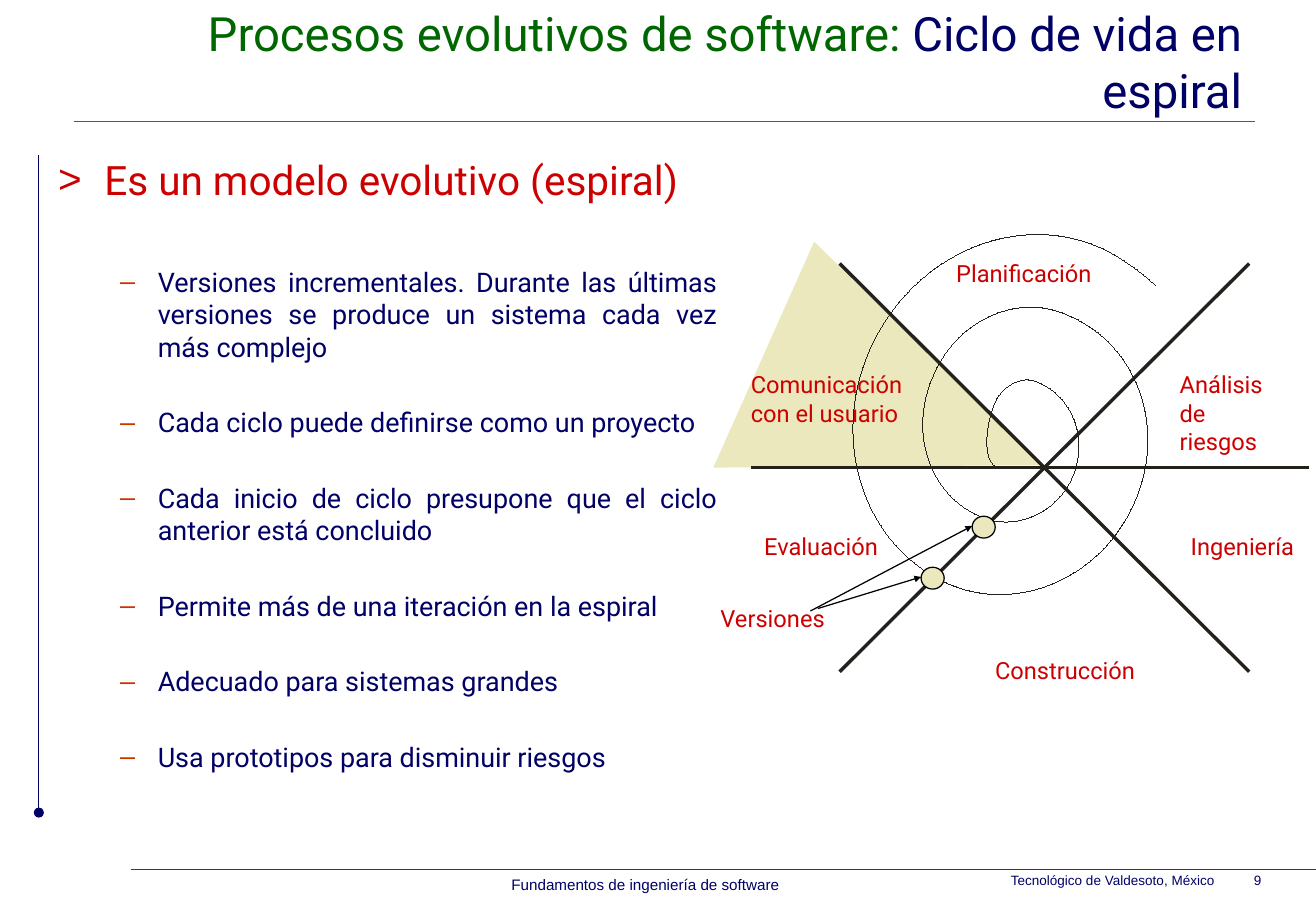
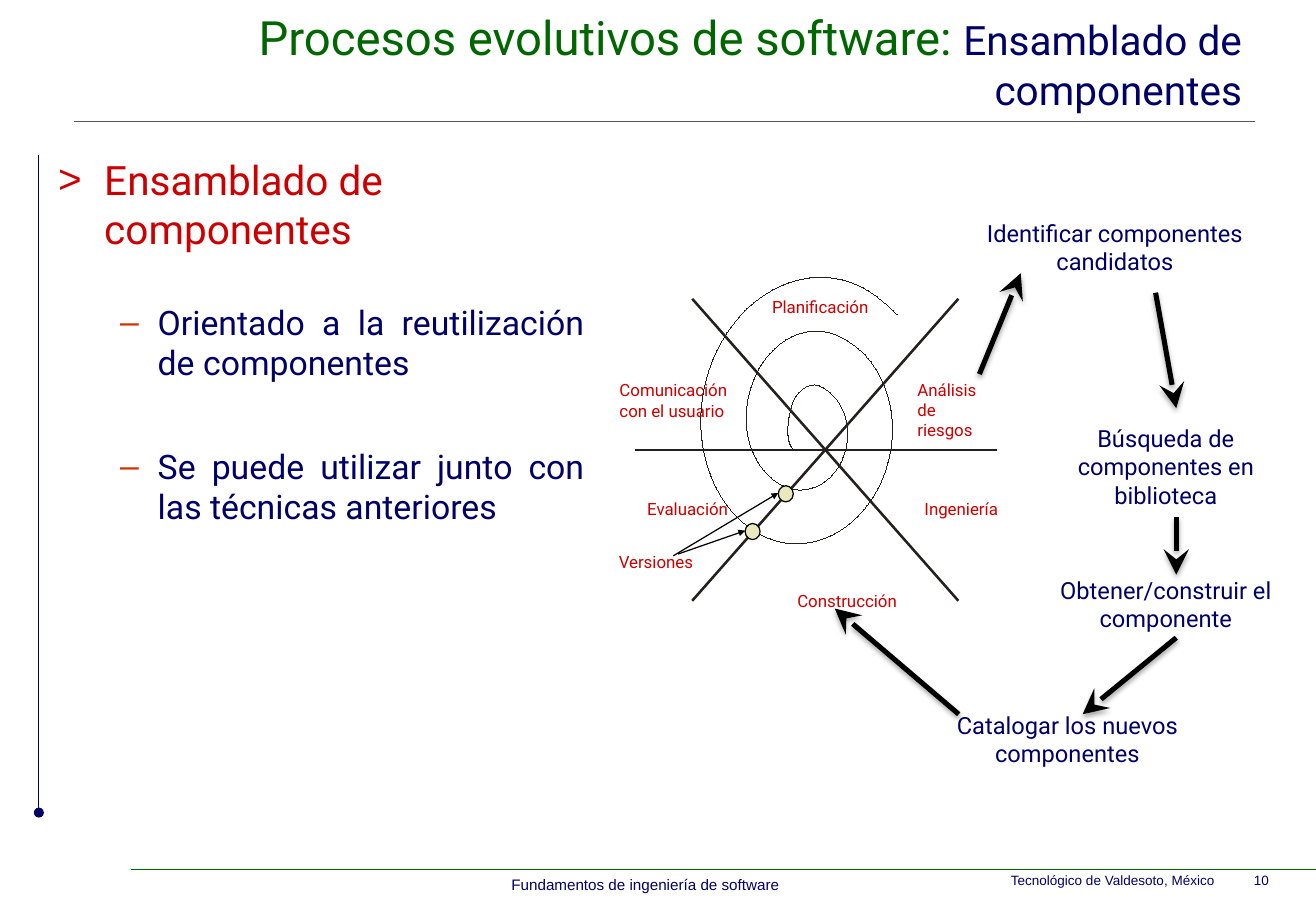
from dataclasses import dataclass
from itertools import chain

from lxml import etree
from pptx import Presentation
from pptx.dml.color import RGBColor
from pptx.enum.shapes import MSO_CONNECTOR, MSO_SHAPE
from pptx.enum.text import MSO_ANCHOR, PP_ALIGN
from pptx.oxml.ns import qn
from pptx.util import Inches, Pt

STRAIGHT = MSO_CONNECTOR.STRAIGHT
OVAL = MSO_SHAPE.OVAL
MIDDLE, TOP = MSO_ANCHOR.MIDDLE, MSO_ANCHOR.TOP
LEFT, CENTER = PP_ALIGN.LEFT, PP_ALIGN.CENTER
RIGHT, JUSTIFY = PP_ALIGN.RIGHT, PP_ALIGN.JUSTIFY


@dataclass(frozen=True)
class Theme:
    navy: str = "000066"
    green: str = "006600"
    red: str = "CC0000"
    dash: str = "CC3300"
    rule: str = "555566"
    ink: str = "24211D"
    black: str = "000000"
    sand: str = "EAE8BC"
    font: str = "Roboto"
    footer_font: str = "Arial"
    title: int = 28
    heading: int = 24
    label: int = 14
    small_label: int = 10
    footer: int = 9
    school: int = 8


THEME = Theme()

SPIRAL_START = (8.21, 3.85)
SPIRAL_CURVES = [
    ((8.07, 3.79), (8.12, 3.46), (8.19, 3.31)),
    ((8.26, 3.16), (8.43, 3.08), (8.57, 3.16)),
    ((8.84, 3.29), (8.96, 3.63), (8.82, 3.94)),
    ((8.68, 4.24), (8.33, 4.38), (8.06, 4.25)),
    ((7.64, 4.06), (7.47, 3.54), (7.69, 3.07)),
    ((7.89, 2.62), (8.4, 2.4), (8.82, 2.61)),
    ((9.38, 2.86), (9.61, 3.56), (9.32, 4.17)),
    ((9.04, 4.77), (8.35, 5.06), (7.79, 4.8)),
    ((7.1, 4.48), (6.82, 3.61), (7.17, 2.85)),
    ((7.53, 2.08), (8.38, 1.73), (9.08, 2.05)),
    ((9.24, 2.13), (9.38, 2.23), (9.51, 2.35)),
]
SPIRAL_LABELS = [
    ("Planificación", 7.77, 2.08, 1.65),
    ("Análisis de riesgos", 9.61, 3, 1.06),
    ("Ingeniería", 9.7, 4.33, 1.3),
    ("Construcción", 8.09, 5.35, 1.65),
    ("Evaluación", 6.19, 4.33, 1.65),
    ("Versiones", 5.83, 4.92, 1.65),
]
VERSION_ARROWS = [((6.67, 5.03), (8, 4.33)), ((6.73, 5.01), (7.58, 4.75))]
AXES = [
    ((6.18, 3.85), (10.77, 3.85)),
    ((6.91, 2.17), (10.28, 5.53)),
    ((10.28, 2.17), (6.91, 5.53)),
]
VERSION_DOTS = [(7.58, 4.67), (8, 4.25)]
SPIRAL_ORIGIN = (6.9, 2.17)


def rgb(value):
    return RGBColor.from_string(value)


class Lecture:
    def __init__(self):
        self.deck = Presentation()
        self.deck.slide_width = Inches(10.83)
        self.deck.slide_height = Inches(7.5)
        self.page = None

    def new_page(self, number, subtitle, subtitle_size=THEME.title):
        self.page = self.deck.slides.add_slide(self.deck.slide_layouts[6])
        self.line((0.61, 1), (10.33, 1), THEME.rule, 0.5)
        self.line((1.08, 7.16), (10.83, 7.16), THEME.green, 0.25)
        self.line((0.32, 1.28), (0.32, 6.69), THEME.navy, 0.75, "oval")
        self.text(f"Tecnológico de Valdesoto, México\t{number}",
                  (8.22, 7.13, 2.56, 0.24), THEME.school, THEME.navy,
                  font=THEME.footer_font)
        self.text("Fundamentos de ingeniería de software",
                  (4.1, 7.16, 2.42, 0.25), THEME.footer, THEME.navy, CENTER,
                  font=THEME.footer_font, wrap=False)
        para = self.text("Procesos evolutivos de software: ",
                         (0.66, 0.09, 9.66, 0.83), THEME.title, THEME.green,
                         RIGHT, anchor=MIDDLE)
        span = para.add_run()
        span.text = subtitle
        span.font.size = Pt(subtitle_size)
        span.font.color.rgb = rgb(THEME.navy)

    def frame(self, area, anchor=TOP, wrap=True):
        box = self.page.shapes.add_textbox(*map(Inches, area))
        box.text_frame.word_wrap = wrap
        box.text_frame.vertical_anchor = anchor
        return box.text_frame

    def style(self, para, text, size, color, align, font=THEME.font):
        para.add_run().text = text
        para.alignment = align
        para.font.name = font
        para.font.size = Pt(size)
        para.font.color.rgb = rgb(color)

    def text(self, text, area, size, color, align=LEFT, font=THEME.font,
             anchor=TOP, wrap=True):
        para = self.frame(area, anchor, wrap).paragraphs[0]
        self.style(para, text, size, color, align, font)
        return para

    def bullet(self, para, mark, color, margin, hang):
        props = para._p.get_or_add_pPr()
        props.set("marL", str(Inches(margin)))
        props.set("indent", str(-Inches(hang)))
        tint = etree.SubElement(props, qn("a:buClr"))
        etree.SubElement(tint, qn("a:srgbClr"), val=color)
        etree.SubElement(props, qn("a:buFont"), typeface=THEME.footer_font)
        etree.SubElement(props, qn("a:buChar"), char=mark)

    def outline(self, heading, items, area, size, first_gap, gap):
        body = self.frame(area)
        para = body.paragraphs[0]
        self.style(para, heading, THEME.heading, THEME.red, LEFT)
        para.space_before = Pt(2.5)
        self.bullet(para, ">", THEME.red, 0.38, 0.38)
        for index, item in enumerate(items):
            para = body.add_paragraph()
            self.style(para, item, size, THEME.navy, JUSTIFY)
            para.space_before = Pt(gap if index else first_gap)
            self.bullet(para, "–", THEME.dash, 0.82, 0.31)

    def line(self, start, end, color, width, tail=None, head_size="med",
             shadow=False):
        line = self.page.shapes.add_connector(
            STRAIGHT, *map(Inches, (*start, *end)))
        line.line.color.rgb = rgb(color)
        line.line.width = Pt(width)
        if tail:
            etree.SubElement(line.line._get_or_add_ln(), qn("a:tailEnd"),
                             type=tail, w=head_size, len=head_size)
        effects = etree.SubElement(line._element.spPr, qn("a:effectLst"))
        if shadow:
            cast = etree.SubElement(
                effects, qn("a:outerShdw"), blurRad=str(Pt(3.1)),
                dist=str(Pt(1.8)), dir="5400000", rotWithShape="0")
            tint = etree.SubElement(cast, qn("a:srgbClr"), val=THEME.black)
            etree.SubElement(tint, qn("a:alpha"), val="35000")

    def paint(self, shape, fill=None, color=None, width=0):
        shape.shadow.inherit = False
        if fill:
            shape.fill.solid()
            shape.fill.fore_color.rgb = rgb(fill)
        else:
            shape.fill.background()
        if color:
            shape.line.color.rgb = rgb(color)
            shape.line._get_or_add_ln().set("w", str(Pt(width)))
        else:
            shape.line.fill.background()

    def freeform(self, points, closed, **look):
        points = [tuple(map(Inches, point)) for point in points]
        builder = self.page.shapes.build_freeform(*points[0])
        builder.add_line_segments(points[1:], close=closed)
        shape = builder.convert_to_shape()
        self.paint(shape, **look)
        return shape

    def curve(self, points, **look):
        shape = self.freeform(points, False, **look)
        segments = list(shape._element.iter(qn("a:lnTo")))
        for first in range(0, len(segments), 3):
            bend = etree.Element(qn("a:cubicBezTo"))
            segments[first].addprevious(bend)
            for segment in segments[first:first + 3]:
                bend.append(segment[0])
                segment.getparent().remove(segment)

    def spiral(self, origin, scale, label_size, user_label, axis_width):
        def place(point):
            return tuple(o + (p - s) * k for o, p, s, k in
                         zip(origin, point, SPIRAL_ORIGIN, scale))

        self.text("Comunicación con el usuario", user_label,
                  label_size, THEME.red)
        for label, left, top, width in SPIRAL_LABELS:
            self.text(label, (*place((left, top)), width * scale[0], 0.3),
                      label_size, THEME.red)
        for start, end in VERSION_ARROWS:
            self.line(place(start), place(end), THEME.black, 0.75,
                      "triangle", "sm")
        points = [SPIRAL_START, *chain.from_iterable(SPIRAL_CURVES)]
        self.curve(map(place, points), color=THEME.ink)
        for start, end in AXES:
            self.line(place(start), place(end), THEME.ink, axis_width)
        for corner in VERSION_DOTS:
            size = (0.19 * scale[0], 0.18 * scale[1])
            dot = self.page.shapes.add_shape(
                OVAL, *map(Inches, (*place(corner), *size)))
            self.paint(dot, THEME.sand, THEME.black, 0.75)


def spiral_page(lecture):
    lecture.new_page(9, "Ciclo de vida en espiral")
    lecture.freeform([(6.7, 1.99), (8.58, 3.83), (5.87, 3.85)], True,
                     fill=THEME.sand)
    lecture.outline("Es un modelo evolutivo (espiral)", [
        "Versiones incrementales. Durante las últimas versiones se produce "
        "un sistema cada vez más complejo",
        "Cada ciclo puede definirse como un proyecto",
        "Cada inicio de ciclo presupone que el ciclo anterior está concluido",
        "Permite más de una iteración en la espiral",
        "Adecuado para sistemas grandes",
        "Usa prototipos para disminuir riesgos",
    ], (0.38, 1.23, 5.62, 5.62), 16, 36.5, 25.6)
    lecture.spiral(SPIRAL_ORIGIN, (1, 1), THEME.label,
                   (6.08, 3, 1.55, 0.57), 2)


def components_page(lecture):
    lecture.new_page(10, "Ensamblado de componentes", THEME.heading)
    lecture.outline("Ensamblado de componentes", [
        "Orientado a la reutilización de componentes",
        "Se puede utilizar junto con las técnicas anteriores",
    ], (0.38, 1.23, 4.53, 5.13), 20, 29, 37.5)
    for step, left, top, width in [
        ("Identificar componentes candidatos", 7.83, 1.75, 2.69),
        ("Búsqueda de componentes en biblioteca", 8.36, 3.44, 2.47),
        ("Obtener/construir el componente", 8.36, 4.69, 2.47),
        ("Catalogar los nuevos componentes", 7.55, 5.8, 2.47),
    ]:
        lecture.text(step, (left, top, width, 0.57), THEME.label,
                     THEME.navy, CENTER)
    for start, end in [
        ((8.06, 3.08), (8.4, 2.25)),
        ((9.51, 2.41), (9.68, 3.36)),
        ((9.68, 4.26), (9.68, 4.73)),
        ((9.68, 5.25), (8.91, 5.88)),
        ((7.89, 5.88), (6.87, 5.01)),
    ]:
        lecture.line(start, end, THEME.black, 3, "stealth", "lg", True)
    lecture.spiral((5.69, 2.46), (0.65, 0.74), THEME.small_label,
                   (5, 3.08, 1.17, 0.43), 1.5)


def main():
    lecture = Lecture()
    spiral_page(lecture)
    components_page(lecture)
    lecture.deck.save("out.pptx")


if __name__ == "__main__":
    main()
